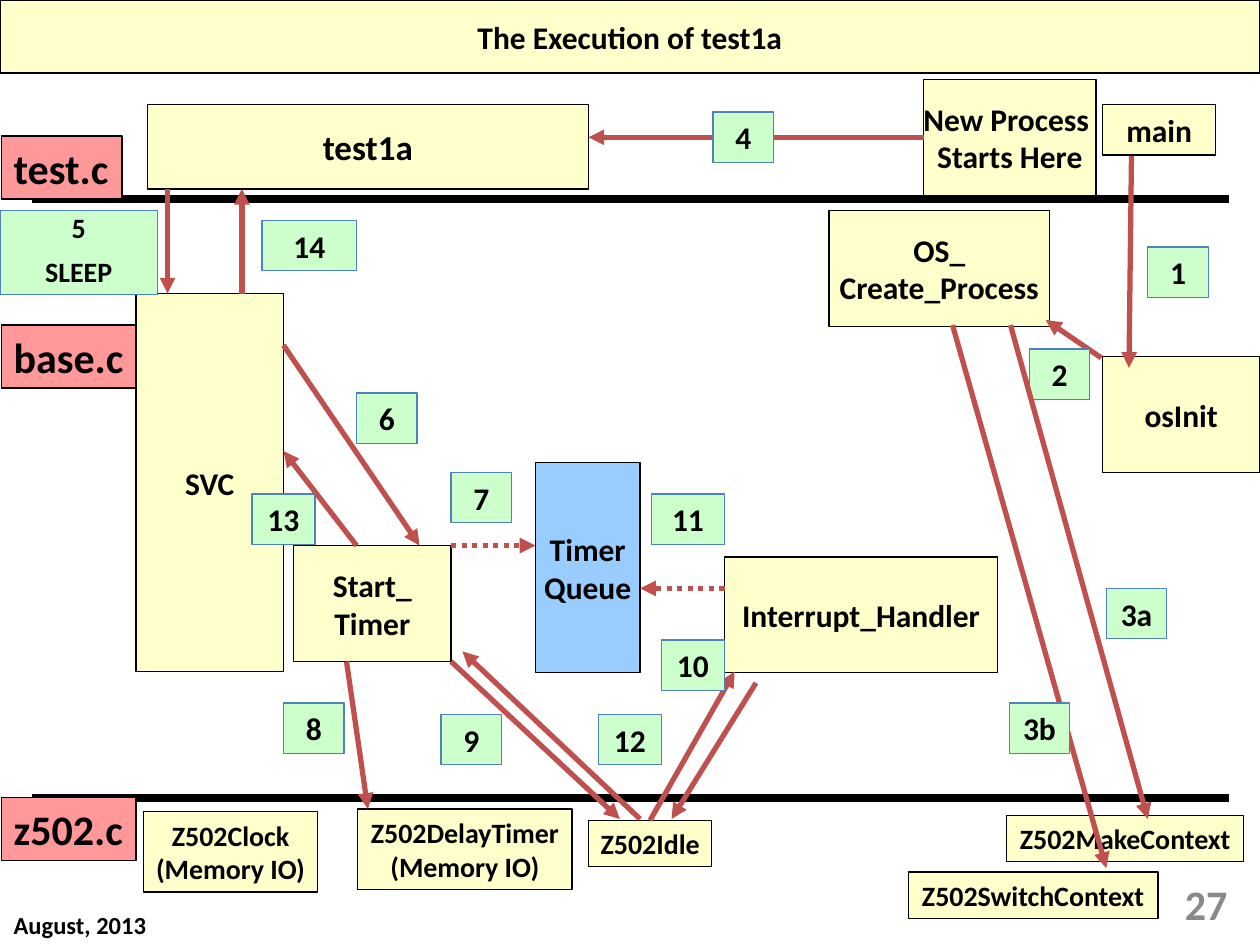
from lxml import etree
from pptx import Presentation
from pptx.dml.color import RGBColor
from pptx.enum import dml, shapes, text
from pptx.oxml import ns
from pptx.util import Inches, Pt


class Theme:
    font = "Calibri"
    black, gray = "000000", "898989"
    cream, red, green, blue = "FFFFCC", "FF9999", "CCFFCC", "99CCFF"
    label_line, arrow = "4F81BD", "C0504D"
    tag_size, big_size, body_size, call_size, date_size = 24, 20, 18, 16, 14
    thin, arrow_width, rule_width = 0.75, 3, 4.5


LEFT, CENTER, RIGHT = text.PP_ALIGN.LEFT, text.PP_ALIGN.CENTER, text.PP_ALIGN.RIGHT

presentation = Presentation()
presentation.slide_width, presentation.slide_height = Inches(10), Inches(7.5)
slide = presentation.slides.add_slide(presentation.slide_layouts[6])


def add_box(content, place, size=Theme.body_size, fill=None, line=Theme.black,
            align=CENTER, color=Theme.black, wrap=False):
    """Add a filled rectangle, or a plain text box when there is no fill."""
    place = [Inches(length) for length in place]
    if fill:
        shape = slide.shapes.add_shape(shapes.MSO_SHAPE.RECTANGLE, *place)
        shape.shadow.inherit = False
        shape.fill.solid()
        shape.fill.fore_color.rgb = RGBColor.from_string(fill)
        shape.line.color.rgb = RGBColor.from_string(line)
        shape.line.width = Pt(Theme.thin)
    else:
        shape = slide.shapes.add_textbox(*place)
    frame = shape.text_frame
    frame.word_wrap = wrap
    frame.vertical_anchor = text.MSO_ANCHOR.MIDDLE
    for index, words in enumerate(content.split("\n")):
        paragraph = frame.add_paragraph() if index else frame.paragraphs[0]
        paragraph.alignment = align
        run = paragraph.add_run()
        run.text = words
        run.font.name, run.font.size, run.font.bold = Theme.font, Pt(size), True
        run.font.color.rgb = RGBColor.from_string(color)
    return shape


def add_line(start, end, color=Theme.arrow, width=Theme.arrow_width, head=True, dotted=False):
    """Add a straight line, with an arrowhead at its end by default."""
    connector = slide.shapes.add_connector(
        shapes.MSO_CONNECTOR.STRAIGHT, *[Inches(length) for length in (*start, *end)])
    connector.line.color.rgb = RGBColor.from_string(color)
    connector.line.width = Pt(width)
    if dotted:
        connector.line.dash_style = dml.MSO_LINE.ROUND_DOT
    if head:
        etree.SubElement(connector.line._get_or_add_ln(), ns.qn("a:tailEnd"), type="triangle")
    etree.SubElement(connector._element.spPr, ns.qn("a:effectLst"))
    return connector


# Title, date and slide number
add_box("The Execution of test1a", (0, 0, 10, 0.58), fill=Theme.cream, wrap=True)
add_box("August, 2013", (0.01, 7.17, 1.25, 0.34), Theme.date_size, align=LEFT)
add_box("27", (7.51, 6.97, 2.33, 0.4), Theme.tag_size, align=RIGHT, color=Theme.gray, wrap=True)

# Rules between the source files
for y in (1.58, 6.33):
    add_line((0.25, y), (9.75, y), Theme.black, Theme.rule_width, head=False)

# File names
for name, y, width in (("test.c", 1.08, 0.96), ("base.c", 2.58, 1.07), ("z502.c", 6.33, 1.07)):
    add_box(name, (0.01, y, width, 0.5), Theme.tag_size, Theme.red, align=LEFT)

# Routines in test.c and base.c
add_box("test1a", (1.17, 0.83, 3.5, 0.67), Theme.big_size, Theme.cream)
new_process = add_box("New Process \nStarts Here", (7.33, 0.63, 1.37, 0.92), fill=Theme.cream)
for name, place in (
    ("main", (8.75, 0.83, 0.9, 0.4)),
    ("SVC", (1.08, 2.33, 1.17, 3)),
    ("osInit", (8.75, 2.83, 1.25, 0.92)),
    ("OS_\nCreate_Process", (6.58, 1.67, 1.75, 0.92)),
    ("Interrupt_Handler", (5.75, 4.42, 2.17, 0.92)),
    ("Start_\nTimer", (2.33, 4.33, 1.25, 0.92)),
):
    add_box(name, place, fill=Theme.cream)
add_box("Timer\nQueue", (4.25, 3.67, 0.83, 1.67), fill=Theme.blue)

# Hardware calls in z502.c
for name, place in (
    ("Z502Clock\n(Memory IO)", (1.14, 6.44, 1.38, 0.64)),
    ("Z502DelayTimer\n(Memory IO)", (2.84, 6.42, 1.7, 0.64)),
    ("Z502SwitchContext", (7.21, 6.92, 1.98, 0.37)),
    ("Z502MakeContext", (7.99, 6.47, 1.88, 0.37)),
):
    add_box(name, place, Theme.call_size, Theme.cream)
idle = add_box("Z502Idle", (4.67, 6.51, 0.98, 0.37), Theme.call_size, Theme.cream)

# Arrows of steps 1, 2, 5, 6, 8, 9, 12, 13 and 14
for start, end in (
    ((8.98, 1.24), (8.96, 2.92)),
    ((8.74, 2.84), (8.3, 2.54)),
    ((1.33, 1.5), (1.33, 2.33)),
    ((2.25, 2.74), (3.33, 4.33)),
    ((2.75, 5.25), (2.92, 6.42)),
    ((3.58, 5.25), (4.92, 6.5)),
    ((5.08, 6.5), (3.67, 5.17)),
    ((6, 5.42), (5.33, 6.5)),
    ((2.83, 4.33), (2.25, 3.58)),
    ((1.92, 2.33), (1.92, 1.5)),
):
    add_line(start, end)

# Arrows that start at the middle of a side: steps 4 and 10
add_line((7.33, 1.09), (4.67, 1.09)).begin_connect(new_process, 1)
add_line((5.16, 6.51), (5.83, 5.33)).begin_connect(idle, 0)

# Queue access: steps 7 and 11
add_line((3.58, 4.33), (4.25, 4.33), dotted=True)
add_line((5.75, 4.67), (5.08, 4.67), dotted=True)

# Step labels, with the arrows of steps 3a and 3b above label 2 and below label 3b
for step, x, y, width in (
    ("1", 9.11, 1.96, 0.48), ("2", 8.17, 2.77, 0.48), ("3a", 8.78, 4.67, 0.48),
    ("4", 5.66, 0.89, 0.48), ("6", 2.83, 3.12, 0.48), ("7", 3.58, 3.75, 0.48),
    ("8", 2.25, 5.58, 0.48), ("9", 3.5, 5.67, 0.48), ("10", 5.25, 5.08, 0.5),
    ("11", 5.17, 3.92, 0.58), ("12", 4.75, 5.67, 0.5), ("13", 2, 3.92, 0.5),
    ("14", 2.08, 1.75, 0.75), ("3b", 8.01, 5.58, 0.48),
):
    if step == "3b":
        add_line((8.02, 2.58), (9.11, 6.5))
        add_line((7.56, 2.58), (8.78, 6.89))
    add_box(step, (x, y, width, 0.4), fill=Theme.green, line=Theme.label_line)

sleep = add_box("5\nSLEEP", (0, 1.67, 1.25, 0.67), Theme.call_size, Theme.green, Theme.label_line)
for paragraph in sleep.text_frame.paragraphs:
    paragraph.line_spacing = 0.8
sleep.text_frame.paragraphs[1].space_before = Pt(10)

presentation.save("out.pptx")
